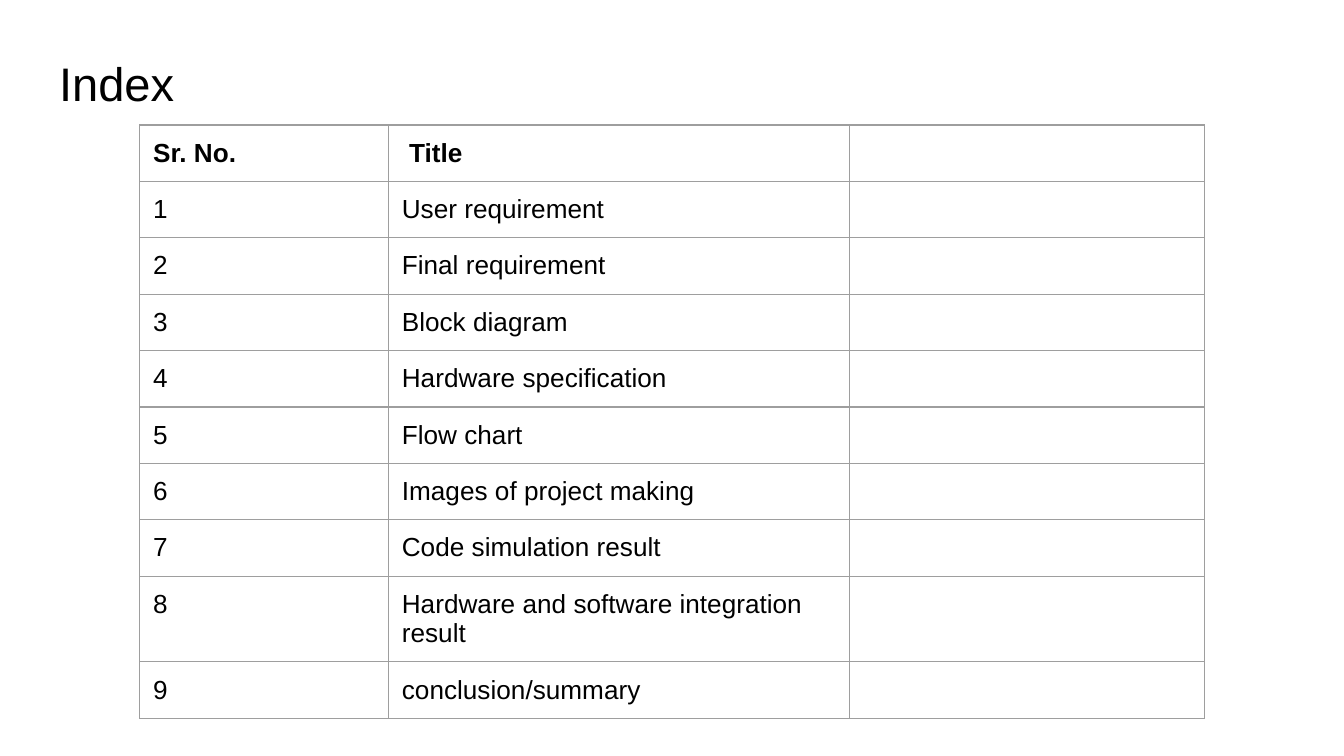
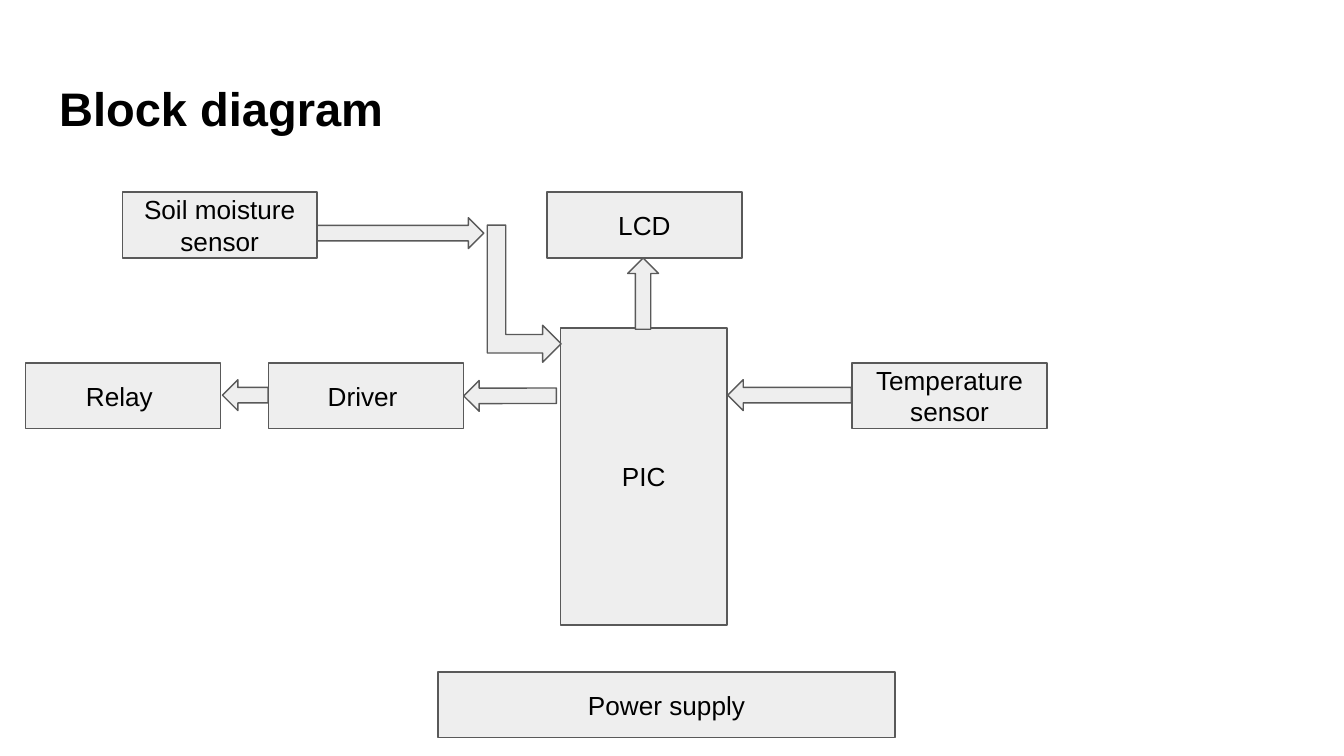
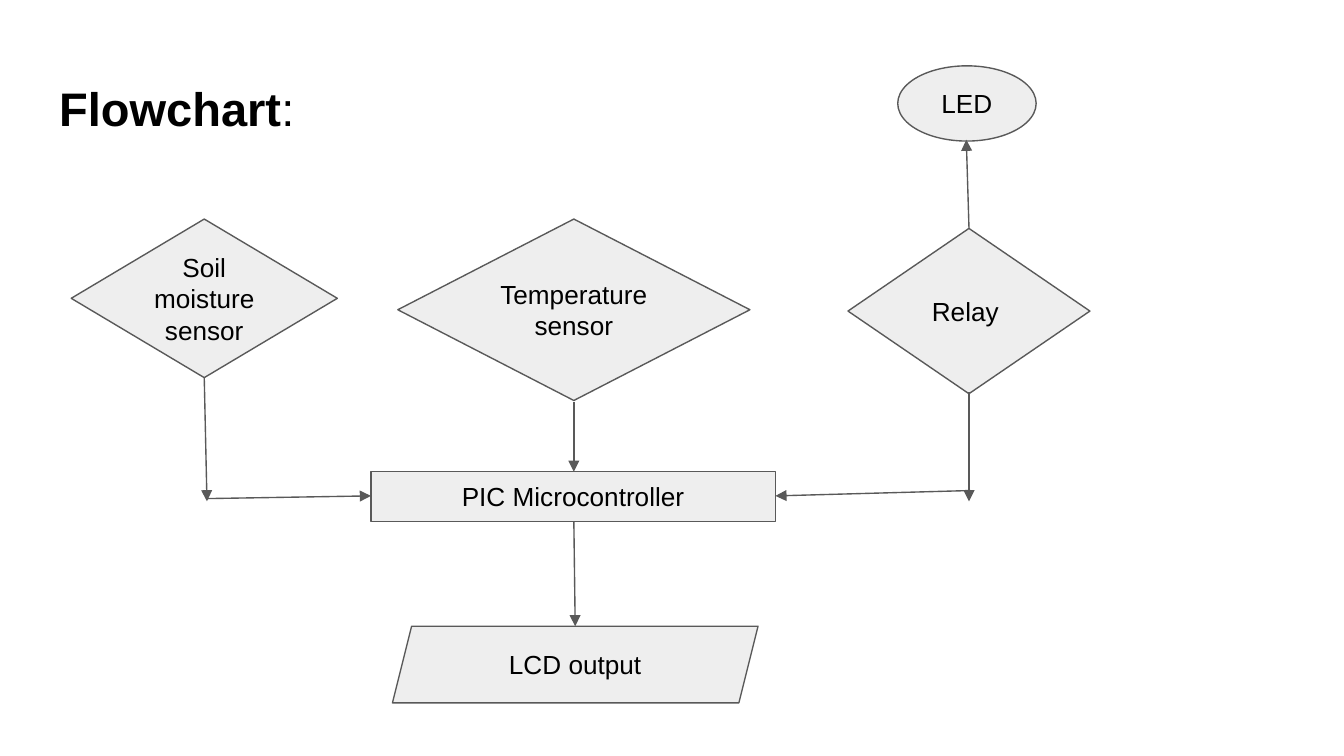
"""Build three project slides: an index table, a block diagram and a flowchart."""
from dataclasses import dataclass

from lxml import etree
from pptx import Presentation
from pptx.dml.color import RGBColor
from pptx.enum.shapes import MSO_CONNECTOR, MSO_SHAPE
from pptx.enum.text import MSO_ANCHOR, MSO_AUTO_SIZE, PP_ALIGN
from pptx.oxml.ns import qn
from pptx.util import Inches, Pt

TITLE_ONLY = 5
LEFT, CENTER = PP_ALIGN.LEFT, PP_ALIGN.CENTER
MIDDLE, NO_FIT = MSO_ANCHOR.MIDDLE, MSO_AUTO_SIZE.NONE
RECTANGLE, DIAMOND, OVAL = MSO_SHAPE.RECTANGLE, MSO_SHAPE.DIAMOND, MSO_SHAPE.OVAL
PARALLELOGRAM = MSO_SHAPE.PARALLELOGRAM
UP_ARROW, RIGHT_ARROW = MSO_SHAPE.UP_ARROW, MSO_SHAPE.RIGHT_ARROW
BENT_ARROW = MSO_SHAPE.BENT_UP_ARROW
STRAIGHT = MSO_CONNECTOR.STRAIGHT


@dataclass(frozen=True)
class Theme:
    """Hold the shared colours, font, sizes and insets."""

    font: str = "Arial"
    text: str = "000000"
    fill: str = "EEEEEE"
    line: str = "595959"
    grid: str = "9E9E9E"
    title_size: float = 25.2
    body_size: float = 14
    line_width: float = 0.75
    inset: float = 0.1


THEME = Theme()

INDEX_COLUMNS = (1.85, 3.43, 2.64)
INDEX_ROW_HEIGHT = 0.42
INDEX_TITLES = (
    "User requirement",
    "Final requirement",
    "Block diagram",
    "Hardware specification",
    "Flow chart",
    "Images of project making",
    "Code simulation result",
    "Hardware and software integration result",
    "conclusion/summary",
)

BLOCK_WIDTH, BLOCK_HEIGHT = 1.45, 0.49
UPPER_ROW, MIDDLE_ROW = 1.43, 2.7
BLOCKS = (
    ("Soil moisture sensor", 0.91, UPPER_ROW),
    ("LCD", 4.07, UPPER_ROW),
    ("Relay ", 0.19, MIDDLE_ROW),
    ("Driver ", 2, MIDDLE_ROW),
    ("Temperature sensor", 6.34, MIDDLE_ROW),
)
ARROW_WIDTH = 0.23
BLOCK_ARROWS = (
    (UP_ARROW, (5.76, 2.48, ARROW_WIDTH, 0.92), 270),
    (UP_ARROW, (4.67, 1.92, ARROW_WIDTH, 0.53), 0),
    (UP_ARROW, (3.68, 2.6, ARROW_WIDTH, 0.69), 269.9),
    (UP_ARROW, (1.71, 2.77, ARROW_WIDTH, 0.34), 270),
    (BENT_ARROW, (3.39, 1.91, 1.02, 0.55), 90),
    (RIGHT_ARROW, (2.36, 1.62, 1.24, ARROW_WIDTH), 0),
)

FLOW_STEPS = (
    (DIAMOND, "Soil moisture sensor", (0.53, 1.63, 1.98, 1.18)),
    (DIAMOND, "Temperature sensor", (2.96, 1.63, 2.62, 1.35)),
    (DIAMOND, "Relay ", (6.31, 1.7, 1.8, 1.23)),
    (OVAL, "LED", (6.68, 0.49, 1.03, 0.56)),
    (RECTANGLE, "PIC Microcontroller", (2.76, 3.51, 3.01, 0.37)),
    (PARALLELOGRAM, "LCD output", (2.92, 4.66, 2.72, 0.57)),
)
FLOW_LINES = (
    ((7.21, 1.7), (7.19, 1.04)),
    ((1.52, 2.81), (1.54, 3.73)),
    ((1.54, 3.71), (2.76, 3.69)),
    ((4.27, 2.99), (4.27, 3.51)),
    ((7.21, 2.92), (7.21, 3.73)),
    ((7.22, 3.65), (5.77, 3.69)),
    ((4.27, 3.88), (4.28, 4.66)),
)


def color(value):
    """Turn a hex colour into an RGBColor."""
    return RGBColor.from_string(value)


def set_insets(holder):
    """Give a text frame or a cell the shared insets."""
    holder.margin_left = holder.margin_right = Inches(THEME.inset)
    holder.margin_top = holder.margin_bottom = Inches(THEME.inset)


def write_text(frame, *spans, size=THEME.body_size, align=LEFT):
    """Fill a text frame with one paragraph of (text, bold) spans."""
    para = frame.paragraphs[0]
    para.alignment = align
    for text, bold in spans:
        span = para.add_run()
        span.text = text
        span.font.name = THEME.font
        span.font.size = Pt(size)
        span.font.bold = bold
        span.font.color.rgb = color(THEME.text)


def prepare_frame(frame):
    """Make a shape's text wrap, sit in the middle and keep its size."""
    frame.word_wrap = True
    frame.auto_size = NO_FIT
    frame.vertical_anchor = MIDDLE
    set_insets(frame)


def add_page(deck, *title_spans, top=0.49):
    """Add a slide with its title moved to the shared place."""
    page = deck.slides.add_slide(deck.slide_layouts[TITLE_ONLY])
    title = page.shapes.title
    title.left, title.top = Inches(0.34), Inches(top)
    title.width, title.height = Inches(9.32), Inches(0.63)
    prepare_frame(title.text_frame)
    write_text(title.text_frame, *title_spans, size=THEME.title_size)
    return page


def add_box(page, kind, place, text="", rotation=0):
    """Add a grey outlined shape, with centred text if given."""
    box = page.shapes.add_shape(kind, *map(Inches, place))
    box.shadow.inherit = False
    box.rotation = rotation
    box.fill.solid()
    box.fill.fore_color.rgb = color(THEME.fill)
    box.line.color.rgb = color(THEME.line)
    box.line.width = Pt(THEME.line_width)
    if text:
        prepare_frame(box.text_frame)
        write_text(box.text_frame, (text, False), align=CENTER)


def add_arrow_line(page, start, end):
    """Add a straight line with a triangle at its end."""
    connector = page.shapes.add_connector(STRAIGHT, *map(Inches, start + end))
    connector.line.color.rgb = color(THEME.line)
    connector.line.width = Pt(THEME.line_width)
    outline = connector.line._get_or_add_ln()
    etree.SubElement(outline, qn("a:tailEnd"), type="triangle")
    etree.SubElement(connector._element.spPr, qn("a:effectLst"))


def set_empty_format(cell):
    """Keep the shared font and size in a cell without text."""
    para = cell.text_frame.paragraphs[0]
    size = str(int(THEME.body_size * 100))
    ending = etree.SubElement(para._p, qn("a:endParaRPr"), sz=size)
    etree.SubElement(ending, qn("a:latin"), typeface=THEME.font)


def format_cell(cell, text, bold):
    """Write a cell and give it clear fill and thin borders."""
    set_insets(cell)
    if text:
        write_text(cell.text_frame, (text, bold))
    else:
        set_empty_format(cell)
    properties = cell._tc.get_or_add_tcPr()
    for side in ("a:lnL", "a:lnR", "a:lnT", "a:lnB"):
        border = etree.SubElement(properties, qn(side), w=str(Pt(THEME.line_width)))
        fill = etree.SubElement(border, qn("a:solidFill"))
        etree.SubElement(fill, qn("a:srgbClr"), val=THEME.grid)
    cell.fill.background()


def add_table(page, rows, left, top):
    """Add a plain table whose first row is bold."""
    width, height = sum(INDEX_COLUMNS), INDEX_ROW_HEIGHT * len(rows)
    place = map(Inches, (left, top, width, height))
    table = page.shapes.add_table(len(rows), len(INDEX_COLUMNS), *place).table
    table.first_row = table.horz_banding = False
    for column, column_width in zip(table.columns, INDEX_COLUMNS):
        column.width = Inches(column_width)
    for row_number, row in enumerate(rows):
        table.rows[row_number].height = Inches(INDEX_ROW_HEIGHT)
        for column_number, text in enumerate(row):
            format_cell(table.cell(row_number, column_number), text, row_number == 0)


def build_index(deck):
    """Build the index page."""
    page = add_page(deck, ("Index", False), top=0.3)
    rows = [("Sr. No.", " Title", "")]
    rows += [(str(number), title, "") for number, title in enumerate(INDEX_TITLES, 1)]
    add_table(page, rows, 1.04, 0.93)


def build_block_diagram(deck):
    """Build the block diagram page."""
    page = add_page(deck, ("Block diagram", True))
    add_box(page, RECTANGLE, (4.17, 2.44, 1.24, 2.21), "PIC")
    for text, left, top in BLOCKS:
        add_box(page, RECTANGLE, (left, top, BLOCK_WIDTH, BLOCK_HEIGHT), text)
    add_box(page, RECTANGLE, (3.26, 5, 3.4, BLOCK_HEIGHT), "Power supply")
    for kind, place, rotation in BLOCK_ARROWS:
        add_box(page, kind, place, rotation=rotation)


def build_flowchart(deck):
    """Build the flowchart page."""
    page = add_page(deck, ("Flowchart", True), (":", False))
    for kind, text, place in FLOW_STEPS:
        add_box(page, kind, place, text)
    for start, end in FLOW_LINES:
        add_arrow_line(page, start, end)


def main():
    """Build and save the deck."""
    deck = Presentation()
    deck.slide_width, deck.slide_height = Inches(10), Inches(45 / 8)
    build_index(deck)
    build_block_diagram(deck)
    build_flowchart(deck)
    deck.save("out.pptx")


if __name__ == "__main__":
    main()
